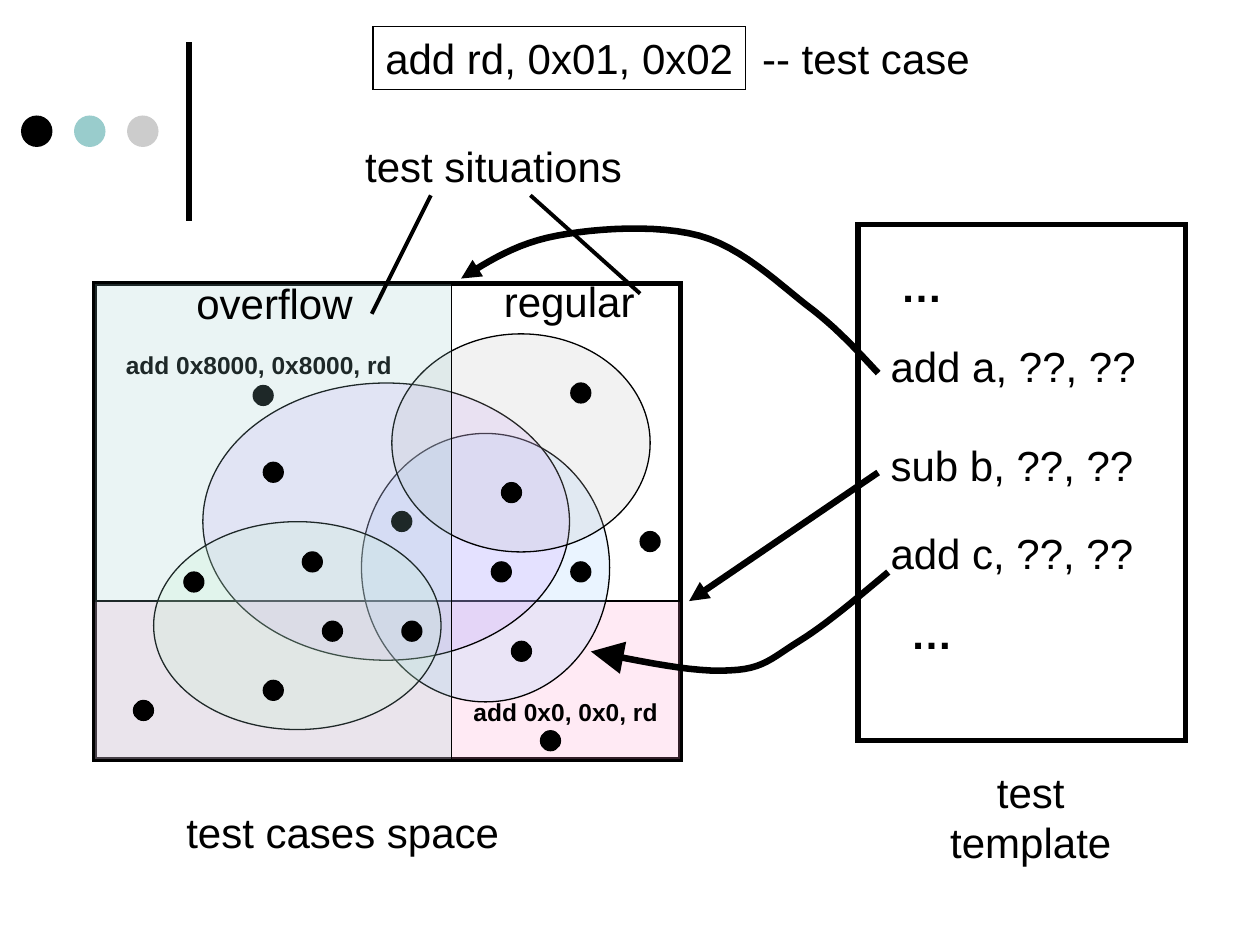
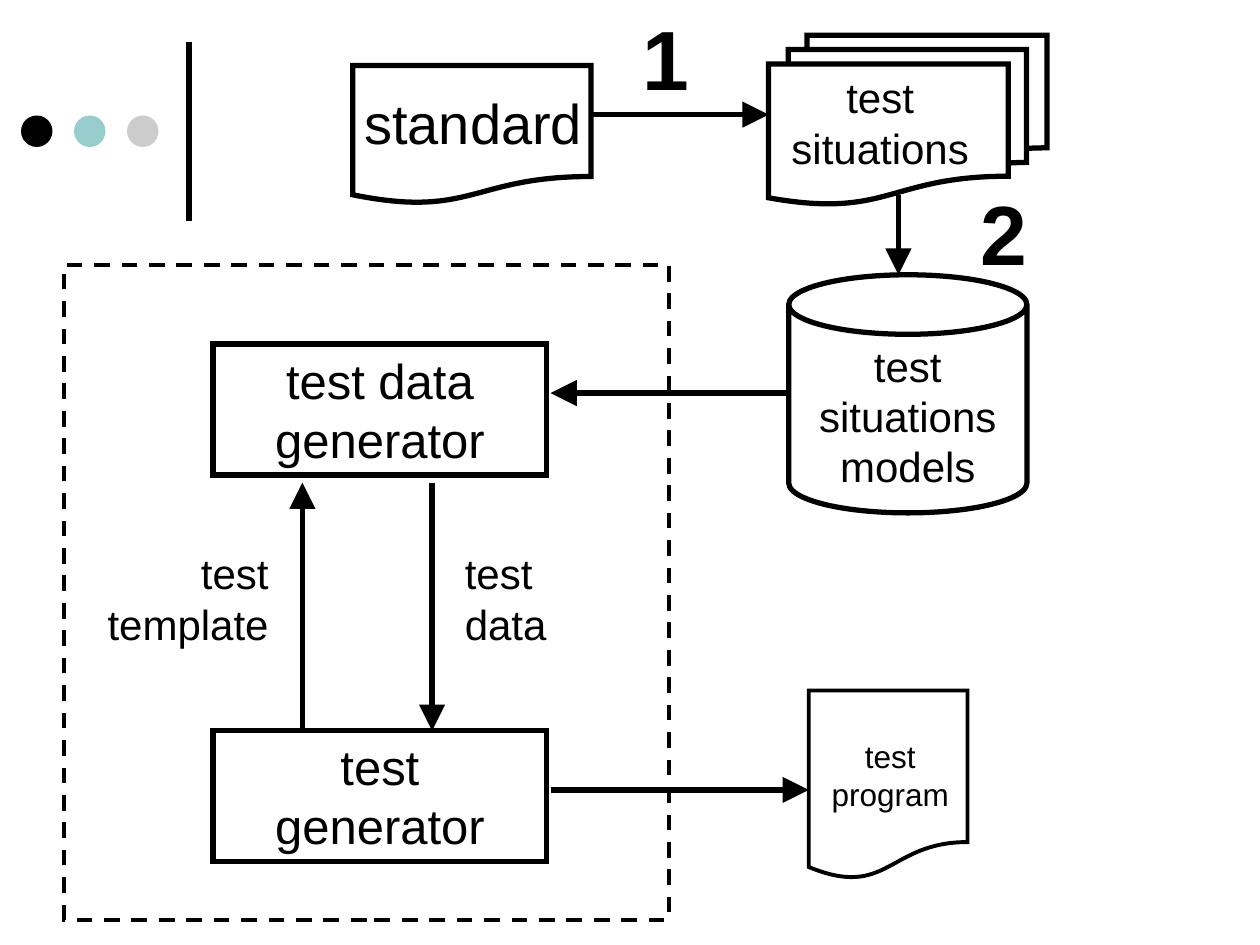
import pptx
import pptx.dml.color
import pptx.enum.dml
import pptx.enum.shapes
import pptx.enum.text
import pptx.oxml.ns
import pptx.util
from lxml import etree

Pt = pptx.util.Pt
MSO = pptx.enum.shapes.MSO_SHAPE
ALIGN = pptx.enum.text.PP_ALIGN
FONT = "Arial"
BLACK, TEAL, SILVER = "000000", "99CCCC", "CCCCCC"
ROW_H, TWO_ROWS_H = 36, 64.8
DOT = 11.4


def rgb(color):
    return pptx.dml.color.RGBColor.from_string(color)


def sub(parent, tag, **attrs):
    return etree.SubElement(parent, pptx.oxml.ns.qn(tag), **attrs)


def inside(box, x, y, w=0, h=0):
    """Move a rectangle into the frame of the given box."""
    return box[0] + x, box[1] + y, w, h


# Drawing helpers
def style_line(sp, width, dash=False, head=None):
    """Head is None, or an arrowhead size: "med" or "lg"."""
    sp.line.color.rgb = rgb(BLACK)
    sp.line.width = Pt(width)
    if dash:
        sp.line.dash_style = pptx.enum.dml.MSO_LINE.DASH
    ln = sp.element.spPr.find(pptx.oxml.ns.qn("a:ln"))
    sub(ln, "a:miter", lim="800000")
    if head:
        sub(ln, "a:tailEnd", type="triangle", w=head, len=head)


def shape(s, kind, box, fill=None, alpha=None, line=3, dash=False):
    sp = s.shapes.add_shape(kind, *map(Pt, box))
    sp.shadow.inherit = False
    if fill:
        sp.fill.solid()
        sp.fill.fore_color.rgb = rgb(fill)
    else:
        sp.fill.background()
    if alpha:
        clr = sp.element.spPr.find(".//" + pptx.oxml.ns.qn("a:srgbClr"))
        sub(clr, "a:alpha", val=str(alpha * 1000))
    if line:
        style_line(sp, line, dash)
    else:
        sp.line.fill.background()
    return sp


def write(sp, text, size=24, bold=False, align=ALIGN.LEFT):
    tf = sp.text_frame
    tf.word_wrap = False
    tf.vertical_anchor = pptx.enum.text.MSO_ANCHOR.TOP
    p = tf.paragraphs[0]
    p.alignment = align
    for i, row in enumerate(text.split("\n")):
        if i:
            p.add_line_break()
        r = p.add_run()
        r.text = row
        r.font.name, r.font.size, r.font.bold = FONT, Pt(size), bold
        r.font.color.rgb = rgb(BLACK)


def label(s, box, text, **style):
    write(s.shapes.add_textbox(*map(Pt, box)), text, **style)


def connect(s, start, end, width=3, head="lg"):
    cn = s.shapes.add_connector(pptx.enum.shapes.MSO_CONNECTOR.STRAIGHT,
                                *map(Pt, start[:2] + end[:2]))
    style_line(cn, width, head=head)
    sub(cn.element.spPr, "a:effectLst")


def curve(s, pts, width, head):
    """Draw an arrow along joined cubic curves: start, then triples."""
    path = []
    for i in range(0, len(pts) - 1, 3):
        for t in (n / 12 for n in range(1, 13)):
            weights = ((1 - t) ** 3, 3 * t * (1 - t) ** 2, 3 * t * t * (1 - t), t ** 3)
            path.append(tuple(sum(k * pt[axis] for k, pt in zip(weights, pts[i:i + 4]))
                              for axis in (0, 1)))
    fb = s.shapes.build_freeform(Pt(pts[0][0]), Pt(pts[0][1]))
    fb.add_line_segments([(Pt(x), Pt(y)) for x, y in path], close=False)
    sp = fb.convert_to_shape()
    sp.shadow.inherit = False
    sp.fill.background()
    style_line(sp, width, head=head)


# Shared decoration: vertical bar and three dots
def new_slide(prs):
    s = prs.slides.add_slide(prs.slide_layouts[6])
    connect(s, (108, 126), (108, 23.8), head=None)
    for i, color in enumerate((BLACK, TEAL, SILVER)):
        shape(s, MSO.OVAL, (12 + 30.3 * i, 66, 18, 18), color, line=None)
    return s


# Slide 1 regions
def draw_test_case(s, box):
    write(shape(s, MSO.RECTANGLE, box, line=0.75), "add rd, 0x01, 0x02")
    label(s, inside(box, 215.3, 0, 136, ROW_H), "-- test case")


def draw_case_space(s, box):
    def tint(kind, x, y, w, h, color):
        shape(s, kind, inside(box, x, y, w, h), color, alpha=20, line=0.75)

    def dots(*places):
        for x, y in places:
            shape(s, MSO.OVAL, inside(box, x, y, DOT, DOT), BLACK, line=0.75)

    shape(s, MSO.RECTANGLE, box)
    label(s, inside(box, 45.4, 295.2, 196, ROW_H), "test cases space")

    # Overlapping situations
    tint(MSO.RECTANGLE, 0, 181.4, box[2], 90.7, "FF99CC")
    for oval in ((152.6, 85.7, 141.8, 153.4, "99CCFF"),
                 (61.9, 56.9, 209.5, 158.4, "CC99FF"),
                 (169.9, 28.8, 147.6, 124.6, "C0C0C0"),
                 (33.8, 136.1, 164.2, 118.8, "CCFFCC")):
        tint(MSO.OVAL, *oval)

    # Overflow half, tinting the cases beneath it
    dots((169.9, 130.3), (90.7, 58.3))
    label(s, inside(box, 10.8, 34.6, 174, 24.5), "add 0x8000, 0x8000, rd",
          size=14, bold=True)
    tint(MSO.RECTANGLE, 0, 0, 204.2, box[3], TEAL)
    label(s, inside(box, 51.1, -7.2, 107, ROW_H), "overflow")

    # Regular half and the remaining cases
    label(s, inside(box, 226.8, -7.9, 93, ROW_H), "regular")
    label(s, inside(box, 209.5, 232.6, 124, 24.5), "add 0x0, 0x0, rd",
          size=14, bold=True)
    dots((254.9, 255.6), (311.8, 141.8), (22.3, 238.3), (238.3, 204.5),
         (175.7, 193), (232.6, 113.8), (96.5, 102.2), (272.2, 56.9),
         (96.5, 226.8), (51.1, 164.9), (118.8, 153.4), (130.3, 193),
         (226.8, 159.1), (272.2, 159.1))

    # Callout above the space
    label(s, inside(box, 147.6, -85, 165, ROW_H), "test situations")
    for x1, x2, y2 in ((192.2, 158.4, 17.3), (249.1, 311.8, 5.8)):
        connect(s, inside(box, x1, -50.4), inside(box, x2, y2), 2.25, head=None)


def draw_template(s, box):
    shape(s, MSO.RECTANGLE, box)
    for x, y, text in ((17.3, 17.3, "…"),
                       (11.5, 62.6, "add a, ??, ??"),
                       (11.5, 119.5, "sub b, ??, ??"),
                       (11.5, 169.9, "add c, ??, ??"),
                       (23, 215.3, "…")):
        label(s, inside(box, x, y, 162, ROW_H), text, bold=text == "…")
    label(s, inside(box, 43.4, 306, 110.6, TWO_ROWS_H), "test\ntemplate",
          align=ALIGN.CENTER)

    # Arrows from the instructions to the case space
    to_overflow = ((11.5, 85), (-0.7, 72), (-12.2, 59), (-29.5, 46.1),
                   (-46.1, 33.1), (-67, 13), (-90.7, 6.5),
                   (-114.5, 0), (-149.8, 2.2), (-172.1, 6.5),
                   (-195.1, 10.8), (-211, 20.9), (-226.8, 31))
    to_oval = ((17.3, 198.7), (-0.7, 213.8), (-18.7, 229), (-33.8, 238.3),
               (-49, 247.7), (-54, 254.2), (-73.4, 254.9),
               (-93.6, 256.3), (-123.1, 249.8), (-152.6, 244.1))
    for pts, head in ((to_overflow, "med"), (to_oval, "lg")):
        curve(s, [inside(box, x, y) for x, y in pts], 3.75, head)
    connect(s, inside(box, 11.5, 141.8), inside(box, -96.5, 215.3), 3.75, "med")


# Slide 2 regions
def draw_store(s, kind, box, text, text_box, line=3, size=24):
    """A document or database outline with its caption."""
    sp = shape(s, kind, box, line=line)
    label(s, inside(box, *text_box), text, size=size, align=ALIGN.CENTER)
    return sp


def draw_sources(s, box):
    draw_store(s, MSO.FLOWCHART_DOCUMENT, inside(box, 0, 17.2, 136.1, 79.2),
               "standard", (-2.6, 9.4, 143, 46), size=32)
    draw_store(s, MSO.FLOWCHART_MULTIDOCUMENT, inside(box, 237.6, 0, 159.1, 96.5),
               "test\nsituations", (3.8, 17.3, 119.9, TWO_ROWS_H))
    can = draw_store(s, MSO.CAN, inside(box, 249.1, 136.8, 136.1, 136.1),
                     "test\nsituations\nmodels", (8.1, 33.8, 119.9, 93.6))
    can.adjustments[0] = 0.25
    connect(s, inside(box, 136.1, 45.3), inside(box, 237.6, 45.3))
    connect(s, inside(box, 311.8, 91.4), inside(box, 311.8, 136.8))
    for x, y, step in ((158.4, -20.2, "1"), (351.4, 79.9, "2")):
        label(s, inside(box, x, y, 45, TWO_ROWS_H), step, size=48, bold=True)


def draw_generators(s, box):
    top, bottom = 45.4, 266.4
    for y, text in ((top, "test data\ngenerator"), (bottom, "test\ngenerator")):
        sp = shape(s, MSO.RECTANGLE, inside(box, 85, y, 190.8, 74.9))
        write(sp, text, size=28, align=ALIGN.CENTER)

    # Exchange between the two generators
    connect(s, inside(box, 136.1, bottom), inside(box, 136.1, 124.6))
    connect(s, inside(box, 210.2, 124.6), inside(box, 210.2, bottom))
    label(s, inside(box, 13.3, 158.4, 110.6, TWO_ROWS_H), "test\ntemplate",
          align=ALIGN.RIGHT)
    label(s, inside(box, 221.8, 158.4, 65, TWO_ROWS_H), "test\ndata")

    # Input from the models, output to the program
    connect(s, inside(box, 414, 73.4), inside(box, 277.9, 73.4))
    connect(s, inside(box, 277.9, 300.2), inside(box, 425.5, 300.2))
    draw_store(s, MSO.FLOWCHART_DOCUMENT, inside(box, 425.5, 243.4, 90.7, 108),
               "test\nprogram", (3.8, 23, 85.4, 50.4), line=2.25, size=18)
    shape(s, MSO.RECTANGLE, box, line=2.25, dash=True)


def main():
    prs = pptx.Presentation()
    prs.slide_width, prs.slide_height = Pt(720), Pt(540)

    s = new_slide(prs)
    draw_test_case(s, (213.1, 15.1, 213.1, ROW_H))
    draw_case_space(s, (54, 162, 334.8, 272.2))
    draw_template(s, (490.3, 128.2, 187.2, 295.2))

    s = new_slide(prs)
    draw_sources(s, (201.6, 20.2))
    draw_generators(s, (36.7, 151.2, 345.6, 374.4))

    prs.save("out.pptx")


if __name__ == "__main__":
    main()
